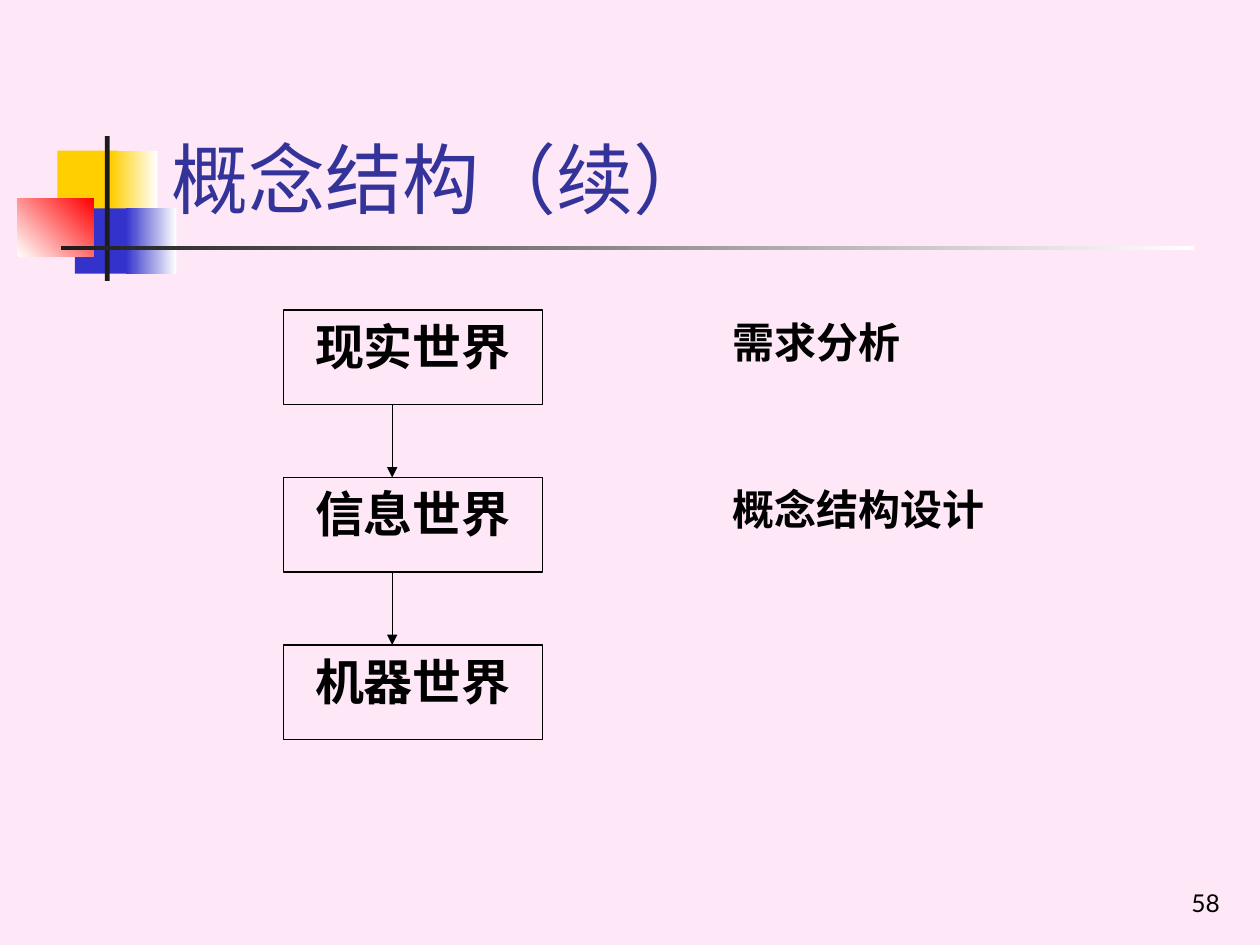
import dataclasses

import lxml.etree
import pptx
import pptx.dml.color
import pptx.enum.shapes
import pptx.enum.text
import pptx.oxml.ns
import pptx.util

COLORS = {
    "paper": "FEE8F7",
    "title": "333399",
    "ink": "000000",
    "yellow": "FFCF01",
    "blue": "3333CC",
    "red": "FF0000",
    "dark": "1C1C1C",
    "white": "FFFFFF",
}
BODY_FONT = "Times New Roman"
HEAD_FONT = "Lato"
ALIGN = pptx.enum.text.PP_ALIGN
ANCHOR = pptx.enum.text.MSO_ANCHOR
RECTANGLE = pptx.enum.shapes.MSO_SHAPE.RECTANGLE


@dataclasses.dataclass
class Box:
    left: float
    top: float
    width: float
    height: float

    def share(self, left, top, width, height):
        return Box(
            self.left + left * self.width,
            self.top + top * self.height,
            width * self.width,
            height * self.height,
        )

    def lengths(self):
        return [pptx.util.Inches(value) for value in dataclasses.astuple(self)]


def color(name):
    return pptx.dml.color.RGBColor.from_string(COLORS[name])


def write(shape, text, size, font, tint="ink", bold=False, align=ALIGN.LEFT, anchor=ANCHOR.TOP):
    frame = shape.text_frame
    frame.word_wrap = True
    frame.auto_size = pptx.enum.text.MSO_AUTO_SIZE.NONE
    frame.vertical_anchor = anchor
    para = frame.paragraphs[0]
    para.text = text
    para.alignment = align
    para.font.size = pptx.util.Pt(size)
    para.font.name = font
    para.font.bold = bold
    para.font.color.rgb = color(tint)


def add_block(page, box, start, end=None, angle=0):
    block = page.shapes.add_shape(RECTANGLE, *box.lengths())
    block.shadow.inherit = False
    block.line.fill.background()
    if end is None:
        block.fill.solid()
        block.fill.fore_color.rgb = color(start)
        return
    block.fill.gradient()
    block.fill.gradient_angle = angle
    for stop, name in zip(block.fill.gradient_stops, (start, end)):
        stop.color.rgb = color(name)


def add_motif(page, box):
    add_block(page, box.share(0.25, 0.1, 0.38, 0.45), "yellow")
    add_block(page, box.share(0.59, 0.1, 0.29, 0.45), "yellow", "white")
    add_block(page, box.share(0.36, 0.5, 0.37, 0.45), "blue")
    add_block(page, box.share(0.68, 0.5, 0.32, 0.45), "blue", "white")
    add_block(page, box.share(0, 0.43, 0.48, 0.4), "white", "red", 45)
    add_block(page, box.share(0.55, 0, 0.03, 1), "dark")
    add_block(page, box.share(0.27, 0.76, 7.14, 0.03), "dark", "white")


def add_title(page, box, text):
    title = page.shapes.title
    title.left, title.top, title.width, title.height = box.lengths()
    write(title, text, 44, HEAD_FONT, "title", anchor=ANCHOR.BOTTOM)


def add_page_number(page, box, text):
    number = page.shapes.add_textbox(*box.lengths())
    write(number, text, 14, HEAD_FONT, align=ALIGN.RIGHT, anchor=ANCHOR.BOTTOM)


def add_world(page, box, text):
    world = page.shapes.add_shape(RECTANGLE, *box.lengths())
    world.shadow.inherit = False
    world.fill.background()
    world.line.color.rgb = color("ink")
    world.line.width = pptx.util.Pt(0.75)
    write(world, text, 28, BODY_FONT, bold=True, align=ALIGN.CENTER)


def add_arrow(page, box):
    left, top, width, height = box.lengths()
    arrow = page.shapes.add_connector(
        pptx.enum.shapes.MSO_CONNECTOR.STRAIGHT, left, top, left + width, top + height
    )
    arrow.line.color.rgb = color("ink")
    arrow.line.width = pptx.util.Pt(0.75)
    qn = pptx.oxml.ns.qn
    properties = arrow._element.spPr
    lxml.etree.SubElement(properties.find(qn("a:ln")), qn("a:tailEnd"), type="triangle")
    lxml.etree.SubElement(properties, qn("a:effectLst"))


def add_flow(page, box, worlds, steps):
    pitch, height, width = 0.39, 0.22, 0.32
    for row, text in enumerate(worlds):
        add_world(page, box.share(0, row * pitch, width, height), text)
    for row in range(len(worlds) - 1):
        add_arrow(page, box.share(0.42 * width, row * pitch + height, 0, pitch - height))
    for row, (text, label_width) in enumerate(steps):
        label_box = box.share(0.54, row * pitch, label_width, 0.17)
        label = page.shapes.add_textbox(*label_box.lengths())
        write(label, text, 24, BODY_FONT, bold=True, align=ALIGN.JUSTIFY)


def main():
    deck = pptx.Presentation()
    slide_box = Box(0, 0, 10, 7.5)
    deck.slide_width, deck.slide_height = slide_box.lengths()[2:]
    page = deck.slides.add_slide(deck.slide_layouts[5])
    page.background.fill.solid()
    page.background.fill.fore_color.rgb = color("paper")

    add_motif(page, Box(0.14, 1.08, 1.26, 1.15))
    add_title(page, Box(1.26, 0.23, 8.52, 1.6), "概念结构（续）")
    add_flow(
        page,
        Box(2.25, 2.46, 6.42, 3.41),
        ["现实世界", "信息世界", "机器世界"],
        [("需求分析", 0.3), ("概念结构设计", 0.46)],
    )
    add_page_number(page, Box(7.7, 6.83, 2.08, 0.5), "58")
    deck.save("out.pptx")


if __name__ == "__main__":
    main()
